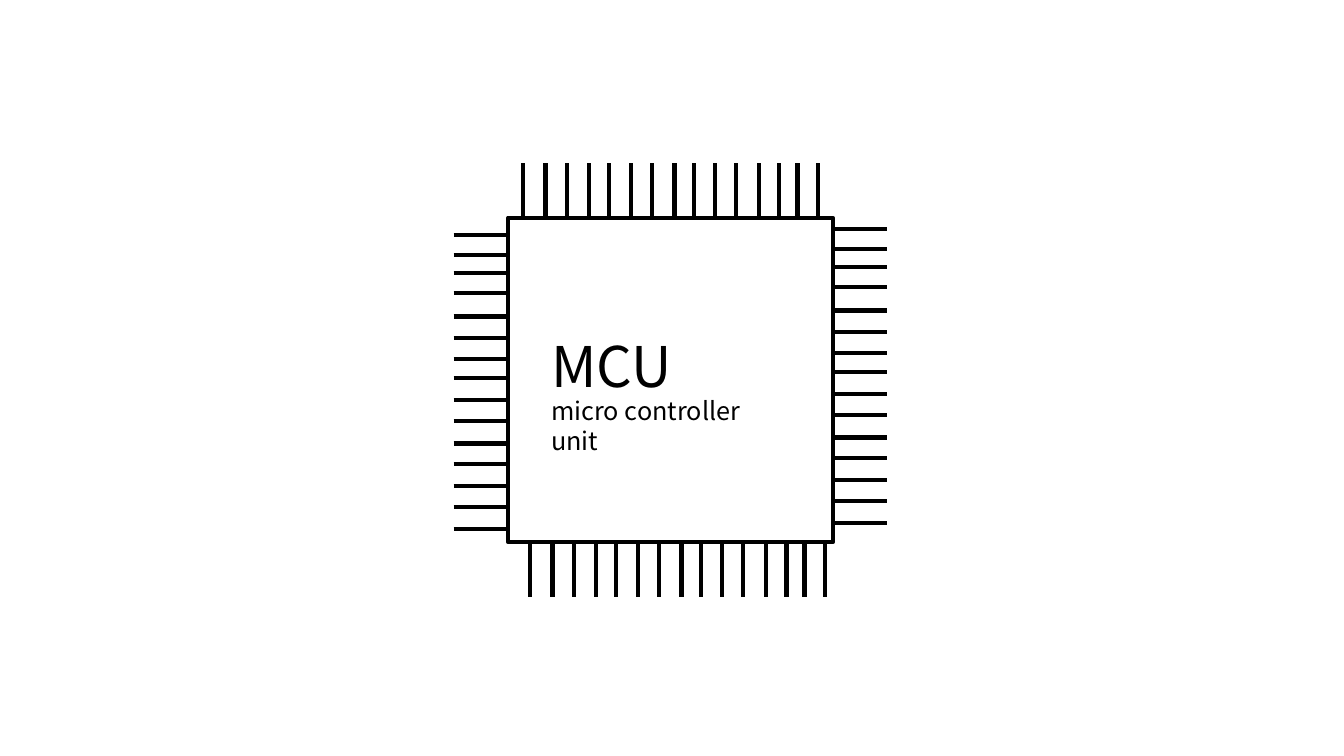
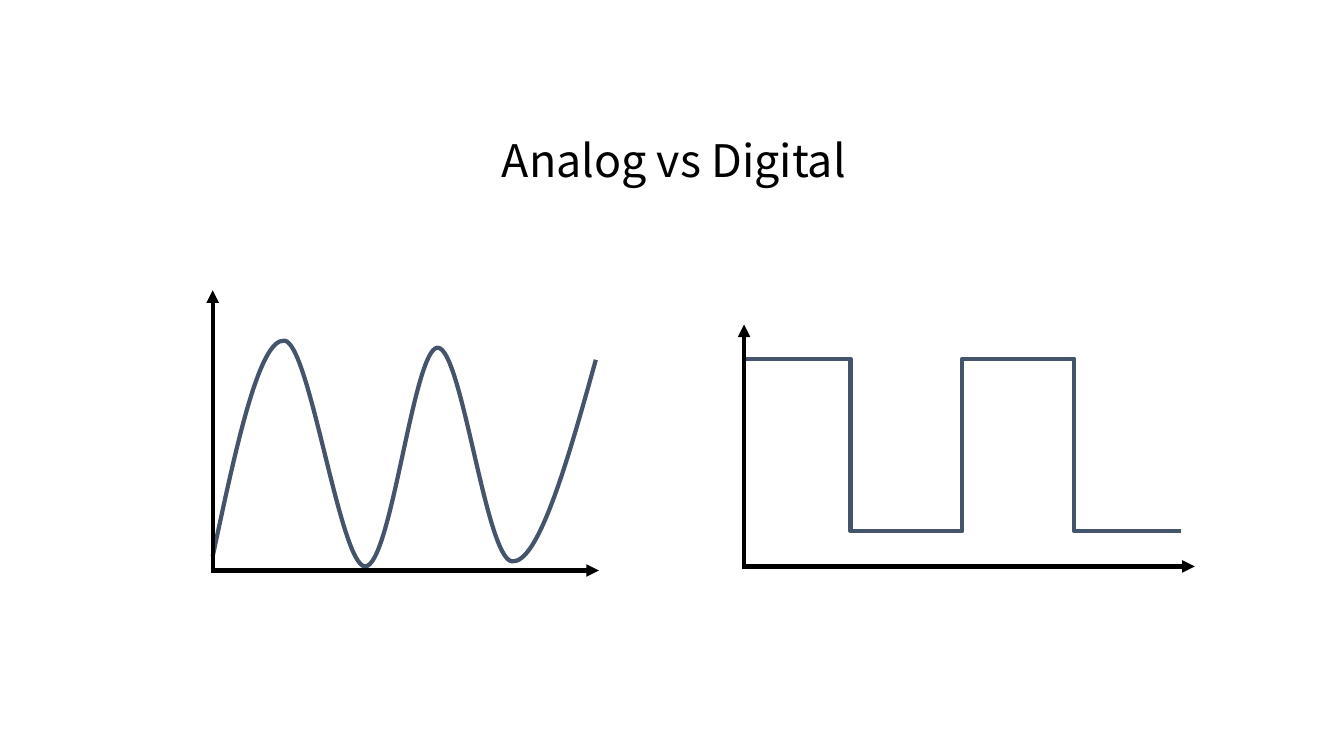
from dataclasses import dataclass

from lxml.etree import SubElement
from pptx import Presentation
from pptx.dml.color import RGBColor as Rgb
from pptx.enum.shapes import MSO_CONNECTOR as Link, MSO_SHAPE as Form
from pptx.oxml.ns import qn
from pptx.util import Emu, Pt

SCALE = 9144  # EMU in one px, 100 px to the inch


def px(num):
    return Emu(num * SCALE)


@dataclass(frozen=True)
class Theme:
    ink: Rgb = Rgb(0x00, 0x00, 0x00)
    wave: Rgb = Rgb(0x44, 0x54, 0x6A)
    font: str = "Noto Sans CJK KR"
    head: int = 40
    title: int = 32
    note: int = 18
    line: int = 3


class Deck:
    """Holds the theme, the current slide and the current group."""

    def __init__(self, theme):
        self.theme = theme
        self.file = Presentation()
        self.file.slide_width, self.file.slide_height = px(1333), px(750)

    def page(self):
        self.slide = self.file.slides.add_slide(self.file.slide_layouts[6])

    def group(self):
        self.layer = self.slide.shapes.add_group_shape().shapes

    def pen(self, item, color):
        item.line.color.rgb = color or self.theme.ink
        item.line.width = Pt(self.theme.line)

    def text(self, words, x, y, w, h, *, size, color=None):
        frame = self.slide.shapes.add_textbox(px(x), px(y), px(w), px(h)).text_frame
        frame.word_wrap = True
        run = frame.paragraphs[0].add_run()
        run.text = words
        run.font.name, run.font.size = self.theme.font, Pt(size)
        run.font.color.rgb = color or self.theme.ink

    def box(self, x, y, w, h):
        item = self.layer.add_shape(Form.RECTANGLE, px(x), px(y), px(w), px(h))
        item.shadow.inherit = False
        item.fill.background()
        self.pen(item, None)

    def line(self, x1, y1, x2, y2, *, color=None, kind=Link.STRAIGHT, arrow=False):
        item = self.layer.add_connector(kind, px(x1), px(y1), px(x2), px(y2))
        self.pen(item, color)
        if arrow:
            SubElement(item.line._get_or_add_ln(), qn("a:tailEnd"), type="triangle")
        SubElement(item._element.spPr, qn("a:effectLst"))

    def curve(self, start, bends, color):
        """Draw cubic curves; bends lists two control points and an end, in turn."""
        build = self.layer.build_freeform(*map(px, start), scale=1.0)
        build.add_line_segments([(px(x), px(y)) for x, y in bends], close=False)
        item = build.convert_to_shape()
        item.shadow.inherit = False
        item.fill.background()
        self.pen(item, color)
        steps = item._element.xpath(".//a:lnTo")
        for i in range(0, len(steps), 3):
            cubic = SubElement(steps[i].getparent(), qn("a:cubicBezTo"))
            for step in steps[i:i + 3]:
                cubic.append(step[0])
                step.getparent().remove(step)

    def axes(self, x, y, top, right):
        self.line(x, y, x, top, arrow=True)
        self.line(x - 2, y, right, y, arrow=True)


def chip(deck):
    deck.page()
    deck.group()
    deck.box(504, 216, 322, 322)

    # Pins: all four sides share one spacing
    pin = 53
    for gap in (0, 22, 43, 65, 85, 107, 128, 150, 169, 190, 211, 234, 254, 272, 292):
        deck.line(519 + gap, 162, 519 + gap, 162 + pin)
        deck.line(526 + gap, 539, 526 + gap, 539 + pin)
        deck.line(450, 525 - gap, 450 + pin, 525 - gap)
        deck.line(827, 519 - gap, 827 + pin, 519 - gap)

    # Labels
    deck.text("micro controller unit", 537, 387, 255, 40, size=deck.theme.note)
    deck.text("MCU", 537, 324, 147, 77, size=deck.theme.head)


def signals(deck):
    deck.page()
    deck.text("Analog vs Digital", 488, 127, 368, 64, size=deck.theme.title)
    wave = deck.theme.wave

    # Analog wave
    deck.group()
    deck.curve((211, 552), [
        (234, 444), (257, 336), (282, 338),
        (307, 339), (337, 560), (362, 562),
        (388, 563), (410, 346), (434, 345),
        (458, 344), (482, 555), (508, 557),
        (534, 559), (563, 458), (591, 357)], wave)
    deck.axes(211, 566, 288, 594)

    # Digital wave: elbows that fall and rise in turn
    deck.group()
    high, low = 356, 527
    for i in range(3):
        x = 738 + 111 * i
        ends = (low, high) if i % 2 else (high, low)
        deck.line(x, ends[0], x + 211, ends[1], color=wave, kind=Link.ELBOW)
    deck.axes(738, 562, 322, 1185)


def main():
    deck = Deck(Theme())
    chip(deck)
    signals(deck)
    deck.file.save("out.pptx")


if __name__ == "__main__":
    main()
